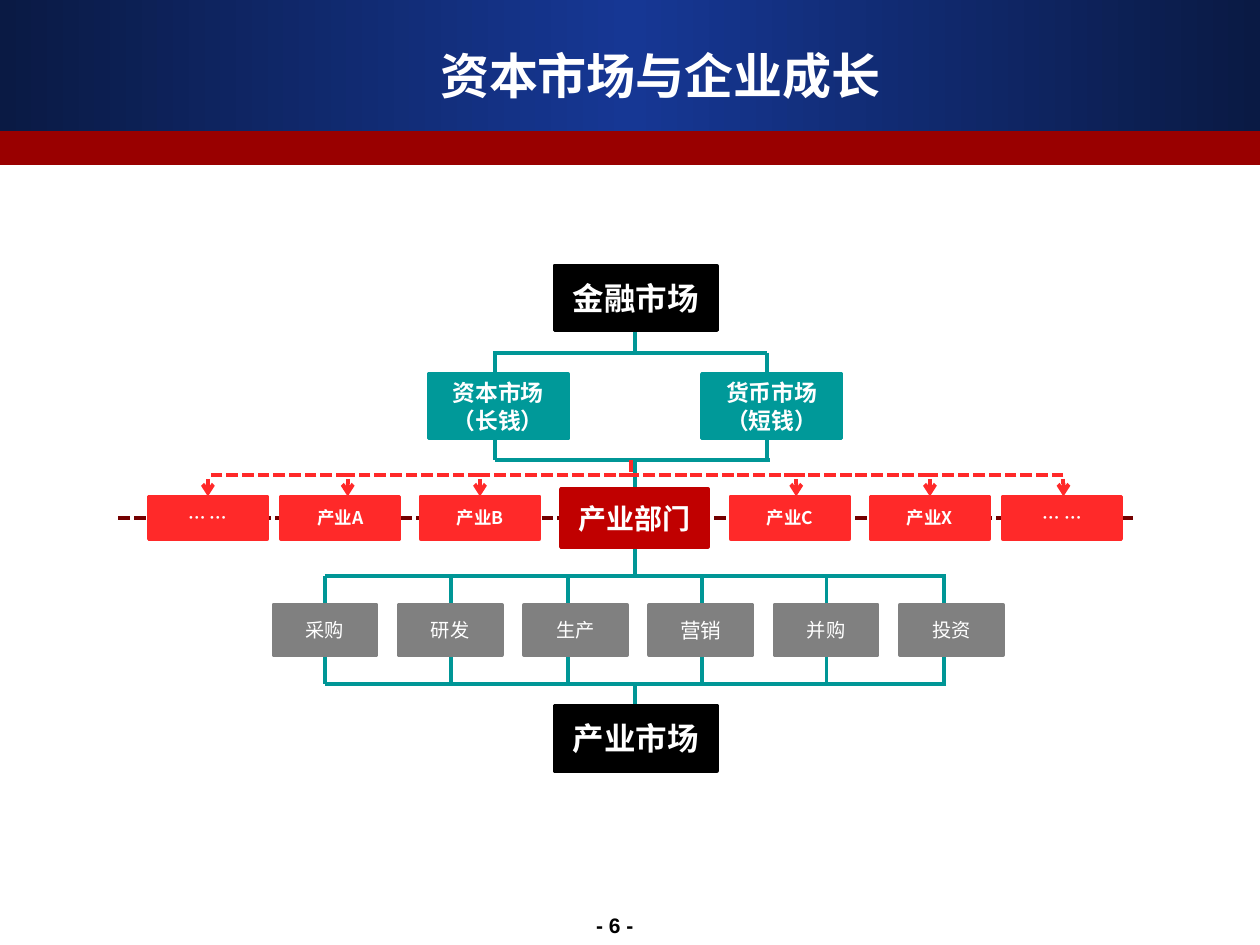
from copy import deepcopy
from dataclasses import dataclass

from lxml import etree
from pptx import Presentation
from pptx.dml.color import RGBColor
from pptx.enum.dml import MSO_LINE
from pptx.enum.shapes import MSO_CONNECTOR, MSO_SHAPE
from pptx.enum.text import MSO_ANCHOR, PP_ALIGN
from pptx.oxml.ns import qn
from pptx.util import Pt

RECTANGLE = MSO_SHAPE.RECTANGLE
STRAIGHT = MSO_CONNECTOR.STRAIGHT
DASH = MSO_LINE.SQUARE_DOT
MIDDLE = MSO_ANCHOR.MIDDLE
CENTER = PP_ALIGN.CENTER

WHITE = RGBColor(0xFF, 0xFF, 0xFF)
BLACK = RGBColor(0x00, 0x00, 0x00)
NAVY = RGBColor(0x0A, 0x1A, 0x44)
BLUE = RGBColor(0x16, 0x37, 0x94)
BAND_RED = RGBColor(0x99, 0x00, 0x00)
AXIS_RED = RGBColor(0x73, 0x00, 0x00)
DEEP_RED = RGBColor(0xC0, 0x00, 0x00)
BRIGHT_RED = RGBColor(0xFF, 0x29, 0x29)
TEAL = RGBColor(0x00, 0x99, 0x99)
TEAL_LINE = RGBColor(0x00, 0x96, 0x96)
GRAY = RGBColor(0x80, 0x80, 0x80)

CJK_FONT = "Noto Sans CJK SC"
LATIN_FONT = "Arial"
PAGE_WIDTH, PAGE_HEIGHT = 720, 540
CENTER_X = 363


@dataclass(frozen=True)
class Style:
    size: float
    color: RGBColor = WHITE
    bold: bool = True
    font: str = CJK_FONT


@dataclass(frozen=True)
class Node:
    lines: tuple[str, ...]
    left: float
    top: float
    width: float
    height: float
    fill: RGBColor
    style: Style


@dataclass(frozen=True)
class Link:
    x1: float
    y1: float
    x2: float
    y2: float
    color: RGBColor = TEAL_LINE
    dashed: bool = False
    arrow: bool = False


def write_lines(frame, lines: tuple[str, ...], style: Style) -> None:
    frame.vertical_anchor = MIDDLE
    for index, line in enumerate(lines):
        para = frame.add_paragraph() if index else frame.paragraphs[0]
        para.alignment = CENTER
        span = para.add_run()
        span.text = line
        span.font.size = Pt(style.size)
        span.font.bold = style.bold
        span.font.color.rgb = style.color
        span.font.name = style.font
        east_asian = etree.SubElement(span.font._element, qn("a:ea"))
        east_asian.set("typeface", style.font)


def add_rectangle(page, left: float, top: float, width: float, height: float, color: RGBColor):
    box = page.shapes.add_shape(RECTANGLE, Pt(left), Pt(top), Pt(width), Pt(height))
    box.shadow.inherit = False
    box.fill.solid()
    box.fill.fore_color.rgb = color
    box.line.fill.background()
    return box


def add_node(page, node: Node) -> None:
    box = add_rectangle(page, node.left, node.top, node.width, node.height, node.fill)
    box.line.color.rgb = node.fill
    box.line.width = Pt(2)
    box.text_frame.word_wrap = True
    write_lines(box.text_frame, node.lines, node.style)


def add_link(page, link: Link) -> None:
    line = page.shapes.add_connector(
        STRAIGHT, Pt(link.x1), Pt(link.y1), Pt(link.x2), Pt(link.y2)
    )
    line.line.color.rgb = link.color
    line.line.width = Pt(2.25)
    if link.dashed:
        line.line.dash_style = DASH
    properties = line._element.spPr
    if link.arrow:
        etree.SubElement(properties.find(qn("a:ln")), qn("a:tailEnd")).set("type", "arrow")
    etree.SubElement(properties, qn("a:effectLst"))


def add_text(page, left: float, top: float, width: float, height: float,
             text: str, style: Style, indent: float = 0, wrap: bool = True) -> None:
    box = page.shapes.add_textbox(Pt(left), Pt(top), Pt(width), Pt(height))
    frame = box.text_frame
    frame.word_wrap = wrap
    frame.margin_left = Pt(indent)
    frame.margin_top = frame.margin_right = frame.margin_bottom = Pt(0)
    write_lines(frame, (text,), style)


def add_header(page) -> None:
    banner = add_rectangle(page, 0, 0, PAGE_WIDTH, 77, BLUE)
    banner.fill.gradient()
    banner.fill.gradient_angle = 0
    stops = banner._element.spPr.find(f".//{qn('a:gsLst')}")
    stops.insert(1, deepcopy(stops[0]))
    for stop, color, position in zip(
        banner.fill.gradient_stops, (NAVY, BLUE, NAVY), (0, 0.5, 1)
    ):
        stop.color.rgb = color
        stop.position = position
    add_rectangle(page, 0, 74.9, PAGE_WIDTH, 19.4, BAND_RED)
    add_text(page, 108.7, 25.9, 493.2, 33.8, "资本市场与企业成长", Style(28), indent=44)


def market_links() -> list[Link]:
    trunk = ((185, 201.5), (263, 279.4), (312.5, 329), (391, 406.8))
    links = [Link(CENTER_X, top, CENTER_X, bottom) for top, bottom in trunk]
    branches = (
        ((283, 438.5), ((201.5, 217.5), (247, 263))),
        ((185.8, 257.8, 324.7, 401, 472.3, 539.3), ((329, 345.6), (374.4, 391))),
    )
    for columns, spans in branches:
        links += [Link(x, top, x, bottom) for x in columns for top, bottom in spans]
    rails = ((281.5, 438.5, 201.5), (283, 440, 263), (185.8, 540.7, 329), (185.8, 540.7, 391))
    return links + [Link(right, y, left, y) for left, right, y in rails]


def industry_links() -> list[Link]:
    arrows = (118.8, 198.7, 274.3, 455, 531.4, 607.7)
    feeder = 360.7
    joints = sorted((*arrows, feeder))
    links = [
        Link(right, 271.4, left, 271.4, BRIGHT_RED, True)
        for left, right in zip(joints, joints[1:])
    ]
    links += [Link(x, 273.6, x, 283.7, BRIGHT_RED, True, True) for x in arrows]
    return links + [Link(feeder, 263, feeder, 272.2, BRIGHT_RED, True)]


def diagram_nodes() -> list[Node]:
    nodes = [
        Node(("金融市场",), 316.8, 151.9, 92.9, 36.9, BLACK, Style(18)),
        Node(("资本市场", "（长钱）"), 244.8, 213.8, 79.9, 36.9, TEAL, Style(13)),
        Node(("货币市场", "（短钱）"), 401, 213.8, 79.9, 36.9, TEAL, Style(13)),
        Node(("产业部门",), 320.4, 279.4, 84.2, 33.1, DEEP_RED, Style(16)),
        Node(("产业市场",), 316.8, 403.2, 92.9, 37.4, BLACK, Style(18)),
    ]
    for index, name in enumerate(("采购", "研发", "生产", "营销", "并购", "投资")):
        style = Style(11.8 if name == "营销" else 11, bold=False)
        nodes.append(Node((name,), 156.2 + 71.6 * index, 345.6, 59, 28.8, GRAY, style))
    industries = (
        ("… …", 85), ("产业A", 160.6), ("产业B", 240.5),
        ("产业C", 417.6), ("产业X", 497.5), ("… …", 573.1),
    )
    for name, left in industries:
        nodes.append(Node((name,), left, 283.7, 67.7, 24.5, BRIGHT_RED, Style(10)))
    return nodes


def main() -> None:
    deck = Presentation()
    deck.slide_width, deck.slide_height = Pt(PAGE_WIDTH), Pt(PAGE_HEIGHT)
    page = deck.slides.add_slide(deck.slide_layouts[6])
    add_header(page)
    add_text(page, 334.8, 521.3, 33.1, 14.4, "- 6 -",
             Style(12, BLACK, font=LATIN_FONT), wrap=False)
    add_link(page, Link(67.7, 296, 649.4, 296, AXIS_RED, True))
    for link in market_links():
        add_link(page, link)
    for node in diagram_nodes():
        add_node(page, node)
    for link in industry_links():
        add_link(page, link)
    deck.save("out.pptx")


if __name__ == "__main__":
    main()
